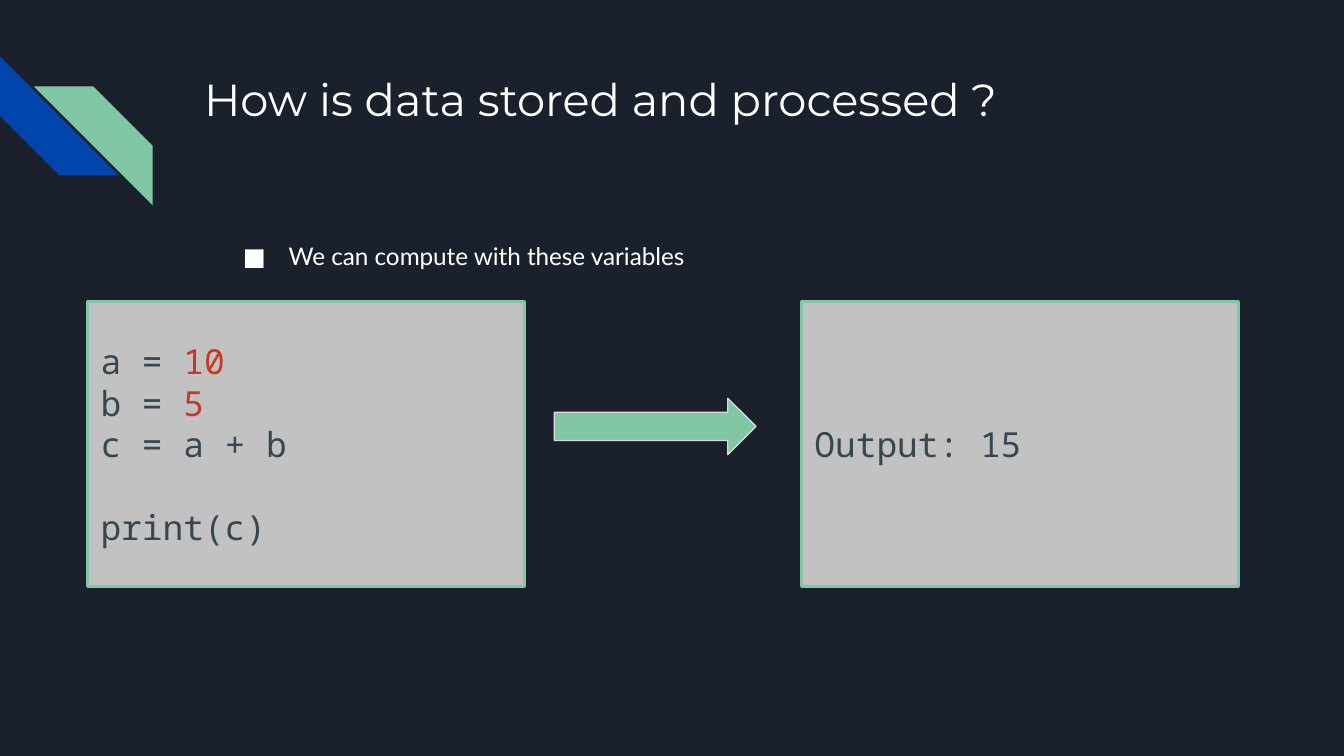
from dataclasses import dataclass

from lxml.etree import SubElement
from pptx import Presentation
from pptx.dml.color import RGBColor
from pptx.enum.shapes import MSO_SHAPE as Preset
from pptx.enum.text import MSO_ANCHOR as Anchor, PP_ALIGN as Align
from pptx.oxml.ns import qn
from pptx.shapes.autoshape import Shape
from pptx.slide import Slide
from pptx.text.text import TextFrame
from pptx.util import Inches, Pt

COLORS = {
    "night": "1B212C",
    "blue": "0145AC",
    "mint": "82C7A5",
    "panel": "C2C2C2",
    "edge": "D9D9D9",
    "white": "FFFFFF",
    "code": "37474F",
    "number": "C53929",
}
CODE_FONT, CODE_SIZE, CODE_LINE = "Noto Sans Mono", 18.5, 22.2
GRID_COLUMNS = 100
SLIDE_WIDTH = Inches(10)
SLIDE_HEIGHT = SLIDE_WIDTH * 9 // 16
CELL = SLIDE_WIDTH // GRID_COLUMNS


@dataclass(frozen=True)
class Area:
    column: float
    row: float
    columns: float
    rows: float

    def lengths(self) -> list[int]:
        return [round(cells * CELL)
                for cells in (self.column, self.row, self.columns, self.rows)]


@dataclass(frozen=True)
class Figure:
    area: Area
    preset: Preset
    fill: str
    line: str | None = None
    line_width: float = 0
    rotation: int = 0


@dataclass(frozen=True)
class CodeLine:
    text: str
    number: str = ""
    blank_lines_before: int = 0


@dataclass(frozen=True)
class CodePanel:
    column: float
    lines: tuple[CodeLine, ...]


@dataclass(frozen=True)
class Label:
    area: Area
    text: str
    font: str
    size: float
    bullet: str = ""


STRIPES = (
    Figure(Area(0, 4.2, 8.83, 8.83), Preset.DIAGONAL_STRIPE, "blue", rotation=270),
    Figure(Area(2.52, 6.43, 8.83, 8.83), Preset.DIAGONAL_STRIPE, "mint", rotation=90),
)
ARROW = Figure(Area(41.25, 29.63, 15, 4.2), Preset.RIGHT_ARROW, "mint", "edge", 0.75)
LABELS = (
    Label(Area(14.2, 4.33, 77, 10), "How is data stored and processed ?", "Montserrat", 24),
    Label(Area(15.5, 16.65, 77, 31.8), "We can compute with these variables", "Lato", 13, "■"),
)
CODE_PANEL = CodePanel(6.5, (
    CodeLine("a = ", "10"),
    CodeLine("b = ", "5"),
    CodeLine("c = a + b"),
    CodeLine("print(c)", blank_lines_before=1),
))
OUTPUT_PANEL = CodePanel(59.62, (CodeLine("Output: 15"),))


def color(name: str) -> RGBColor:
    return RGBColor.from_string(COLORS[name])


def prepare_frame(frame: TextFrame, anchor: Anchor) -> None:
    frame.word_wrap = True
    frame.vertical_anchor = anchor
    frame.margin_left = frame.margin_right = CELL
    frame.margin_top = frame.margin_bottom = CELL


def add_bullet(paragraph, label: Label) -> None:
    properties = paragraph._p.get_or_add_pPr()
    properties.set("marL", str(Inches(0.5)))
    properties.set("indent", str(Inches(-0.34)))
    bullet_color = SubElement(properties, qn("a:buClr"))
    SubElement(bullet_color, qn("a:srgbClr"), val=COLORS["white"])
    SubElement(properties, qn("a:buSzPts"), val=str(label.size * 100))
    SubElement(properties, qn("a:buFont"), typeface=label.font)
    SubElement(properties, qn("a:buChar"), char=label.bullet)


def draw_figure(page: Slide, figure: Figure) -> Shape:
    shape = page.shapes.add_shape(figure.preset, *figure.area.lengths())
    shape.shadow.inherit = False
    shape.rotation = figure.rotation
    shape.fill.solid()
    shape.fill.fore_color.rgb = color(figure.fill)
    if figure.line:
        shape.line.color.rgb = color(figure.line)
        shape.line.width = Pt(figure.line_width)
    else:
        shape.line.fill.background()
    return shape


def draw_label(page: Slide, label: Label) -> None:
    box = page.shapes.add_textbox(*label.area.lengths())
    prepare_frame(box.text_frame, Anchor.TOP)
    paragraph = box.text_frame.paragraphs[0]
    paragraph.text = label.text
    if label.bullet:
        add_bullet(paragraph, label)
        paragraph.line_spacing = 1.15
    paragraph.font.name = label.font
    paragraph.font.size = Pt(label.size)
    paragraph.font.color.rgb = color("white")


def draw_panel(page: Slide, panel: CodePanel) -> None:
    area = Area(panel.column, 22.43, 32.55, 21.2)
    box = draw_figure(page, Figure(area, Preset.RECTANGLE, "panel", "mint", 1.5))
    frame = box.text_frame
    prepare_frame(frame, Anchor.MIDDLE)
    for index, line in enumerate(panel.lines):
        paragraph = frame.add_paragraph() if index else frame.paragraphs[0]
        paragraph.alignment = Align.LEFT
        if line.blank_lines_before:
            paragraph.space_before = Pt(line.blank_lines_before * CODE_LINE)
        paragraph.font.name = CODE_FONT
        paragraph.font.size = Pt(CODE_SIZE)
        for text, tint in ((line.text, "code"), (line.number, "number")):
            if text:
                span = paragraph.add_run()
                span.text = text
                span.font.color.rgb = color(tint)


def main() -> None:
    deck = Presentation()
    deck.slide_width, deck.slide_height = SLIDE_WIDTH, SLIDE_HEIGHT
    page = deck.slides.add_slide(deck.slide_layouts[6])
    page.background.fill.solid()
    page.background.fill.fore_color.rgb = color("night")
    for stripe in STRIPES:
        draw_figure(page, stripe)
    for label in LABELS:
        draw_label(page, label)
    draw_panel(page, CODE_PANEL)
    draw_figure(page, ARROW)
    draw_panel(page, OUTPUT_PANEL)
    deck.save("out.pptx")


if __name__ == "__main__":
    main()
